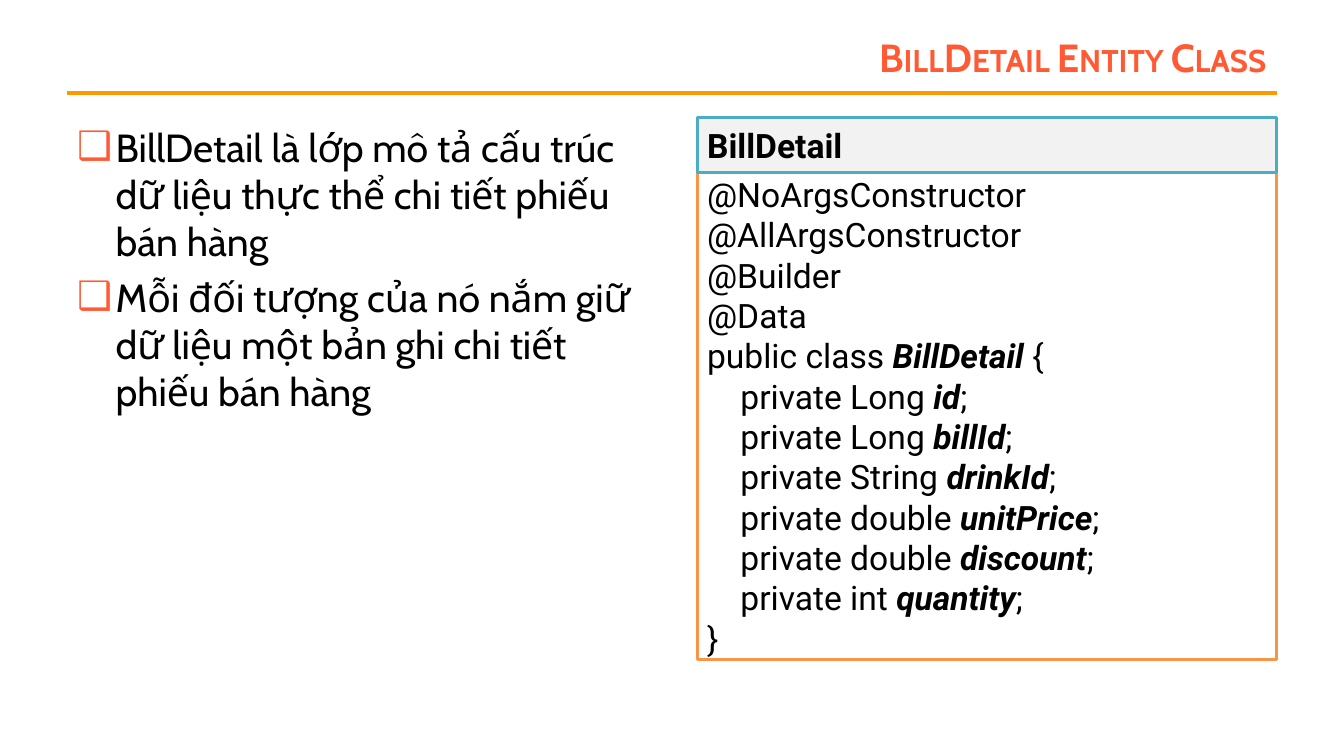
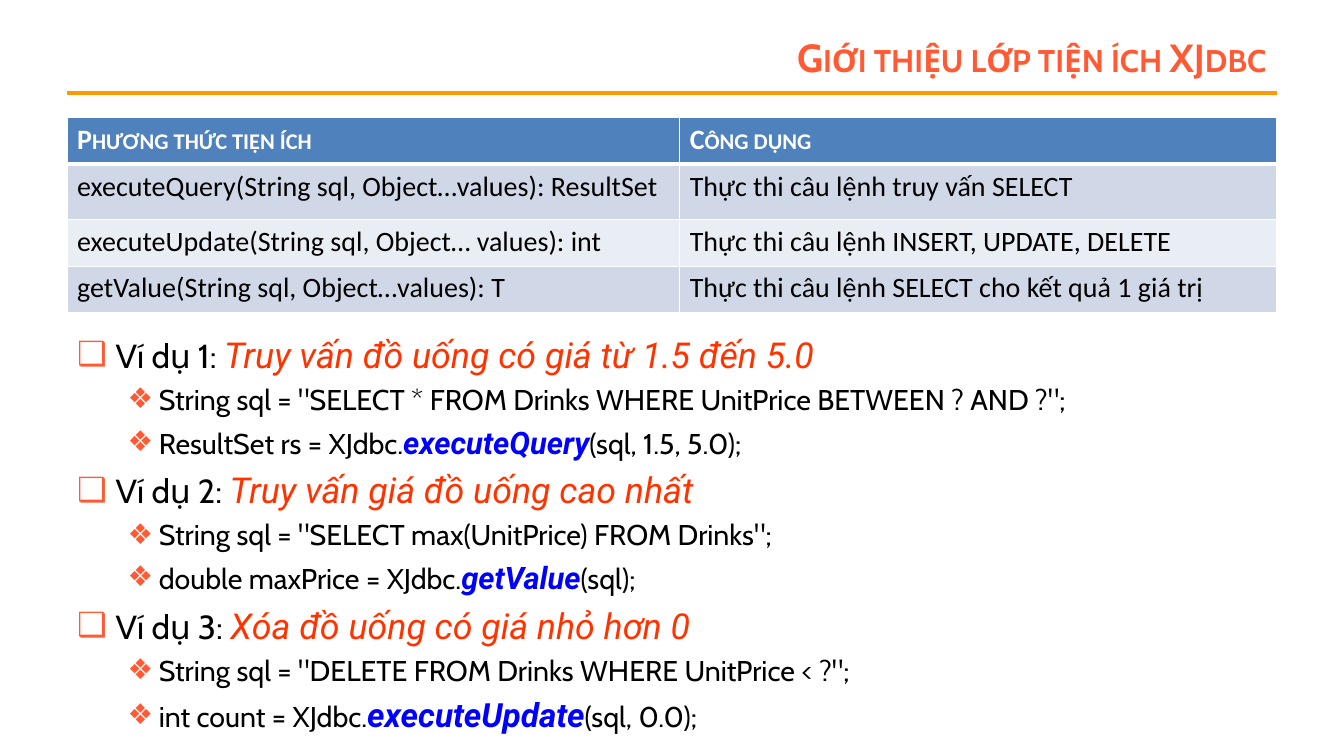
from pptx import Presentation
from pptx.dml.color import RGBColor
from pptx.enum.shapes import MSO_CONNECTOR, MSO_SHAPE
from pptx.enum.text import MSO_ANCHOR, MSO_AUTO_SIZE, PP_ALIGN
from pptx.oxml.ns import qn
from pptx.util import Cm, Pt
from lxml.etree import SubElement

COLORS = {
    "accent": "FF5A33", "rule": "FF9900", "text": "000000", "white": "FFFFFF",
    "task": "FF3300", "method": "0000FF",
    "code_line": "F79646", "name_fill": "F2F2F2", "name_line": "4BACC6",
    "header": "4F81BD", "odd": "D0D8E8", "even": "E9EDF4",
}
# Each style: font, size, colour, bold, italic
STYLES = {
    "title": ("Cabin", 28, "accent", True, False),
    "body": ("Cabin", 28, "text", False, False),
    "code": ("Roboto", 24, "text", False, False),
    "class": ("Roboto", 24, "text", True, False),
    "member": ("Roboto", 24, "text", True, True),
    "header": ("Calibri", 20, "white", True, False),
    "cell": ("Calibri", 20, "text", False, False),
    "example": ("Cabin", 23.8, "text", False, False),
    "task": ("Roboto", 25.5, "task", False, True),
    "step": ("Cabin", 20.4, "text", False, False),
    "method": ("Roboto", 22.1, "method", True, True),
    "last_method": ("Roboto", 23.8, "method", True, True),
}
SMALL_CAPS = {"title", "header"}
# Each level: bullet, left margin, hanging indent
BULLETS = [("❑", Cm(0.97), Cm(0.97)), ("❖", Cm(2.06), Cm(0.79))]
SPACE_BEFORE = 0.22

LEFT, WIDTH, CONTENT_TOP = Cm(1.69), Cm(30.48), Cm(2.97)
RIGHT = LEFT + WIDTH
RULE_TOP = Cm(2.34)

ENTITY_TITLE = "BillDetail Entity Class"
ENTITY_POINTS = [
    (0, [("BillDetail là lớp mô tả cấu trúc dữ liệu thực thể chi tiết phiếu bán hàng", "body")]),
    (0, [("Mỗi đối tượng của nó nắm giữ dữ liệu một bản ghi chi tiết phiếu bán hàng", "body")]),
]
CLASS_NAME = "BillDetail"
ANNOTATIONS = ["@NoArgsConstructor", "@AllArgsConstructor", "@Builder", "@Data"]
FIELDS = [("Long", "id"), ("Long", "billId"), ("String", "drinkId"),
          ("double", "unitPrice"), ("double", "discount"), ("int", "quantity")]

UTILITY_TITLE = "Giới thiệu lớp tiện ích XJdbc"
METHODS = [
    ("Phương thức tiện ích", "Công dụng"),
    ("executeQuery(String sql, Object…values): ResultSet", "Thực thi câu lệnh truy vấn SELECT"),
    ("executeUpdate(String sql, Object… values): int", "Thực thi câu lệnh INSERT, UPDATE, DELETE"),
    ("getValue(String sql, Object…values): T", "Thực thi câu lệnh SELECT cho kết quả 1 giá trị"),
]
COLUMN_WIDTHS = [Cm(15.44), Cm(15.04)]
ROW_HEIGHTS = [Cm(1.17), Cm(1.4), Cm(1.17), Cm(1.17)]
# Each example: task, SQL, text before the method, method, arguments, method style
EXAMPLES = [
    ("Truy vấn đồ uống có giá từ 1.5 đến 5.0",
     "SELECT * FROM Drinks WHERE UnitPrice BETWEEN ? AND ?",
     "ResultSet rs = XJdbc.", "executeQuery", "(sql, 1.5, 5.0);", "method"),
    ("Truy vấn giá đồ uống cao nhất",
     "SELECT max(UnitPrice) FROM Drinks",
     "double maxPrice = XJdbc.", "getValue", "(sql);", "method"),
    ("Xóa đồ uống có giá nhỏ hơn 0",
     "DELETE FROM Drinks WHERE UnitPrice < ?",
     "int count = XJdbc.", "executeUpdate", "(sql, 0.0);", "last_method"),
]


def color(name):
    return RGBColor.from_string(COLORS[name])


def add_runs(para, runs):
    for text, style in runs:
        span = para.add_run()
        span.text = text
        font = span.font
        font.name, size, tint, font.bold, font.italic = STYLES[style]
        font.size = Pt(size)
        font.color.rgb = color(tint)
        if style in SMALL_CAPS:
            span._r.get_or_add_rPr().set("cap", "small")


def paragraphs(frame, count):
    return [frame.paragraphs[0]] + [frame.add_paragraph() for _ in range(count - 1)]


def place(shape, left, top, width, height):
    shape.left, shape.top, shape.width, shape.height = left, top, width, height


def add_bullet(para, level):
    symbol, margin, hanging = BULLETS[level]
    para.level = level
    properties = para._p.get_or_add_pPr()
    properties.set("marL", str(margin))
    properties.set("indent", str(-hanging))
    tint = SubElement(properties, qn("a:buClr"))
    SubElement(tint, qn("a:srgbClr")).set("val", COLORS["accent"])
    SubElement(properties, qn("a:buChar")).set("char", symbol)


def add_page(deck, title, points, body_area):
    """Add a slide with a right-aligned title and a bulleted body."""
    page = deck.slides.add_slide(deck.slide_layouts[1])
    heading, body = page.shapes.title, page.placeholders[1]
    place(heading, Cm(6.21), Cm(0.76), RIGHT - Cm(6.21), Cm(1.35))
    place(body, *body_area)
    for box, anchor in ((heading, MSO_ANCHOR.MIDDLE), (body, MSO_ANCHOR.TOP)):
        box.text_frame.auto_size = MSO_AUTO_SIZE.NONE
        box.text_frame.vertical_anchor = anchor
    para = heading.text_frame.paragraphs[0]
    para.alignment = PP_ALIGN.RIGHT
    add_runs(para, [(title, "title")])

    lines = paragraphs(body.text_frame, len(points))
    for index, (para, (level, runs)) in enumerate(zip(lines, points)):
        add_bullet(para, level)
        largest = max(STYLES[style][1] for _, style in runs)
        para.space_before = Pt(round(largest * SPACE_BEFORE, 1) if index else 0)
        add_runs(para, runs)
    return page


def add_master_rule(deck, page):
    """Draw the title rule and move it to the master, so every slide has it."""
    rule = page.shapes.add_connector(MSO_CONNECTOR.STRAIGHT, LEFT, RULE_TOP, RIGHT, RULE_TOP)
    rule.line.color.rgb = color("rule")
    rule.line.width = Pt(3)
    SubElement(rule.element.spPr, qn("a:effectLst"))
    deck.slide_master.shapes.element.append(rule.element)


def add_panel(page, area, fill, line, lines):
    panel = page.shapes.add_shape(MSO_SHAPE.RECTANGLE, *area)
    panel.shadow.inherit = False
    panel.fill.solid()
    panel.fill.fore_color.rgb = color(fill)
    panel.line.color.rgb = color(line)
    panel.line.width = Pt(2)
    frame = panel.text_frame
    frame.word_wrap = True
    frame.vertical_anchor = MSO_ANCHOR.MIDDLE
    for para, runs in zip(paragraphs(frame, len(lines)), lines):
        para.alignment = PP_ALIGN.LEFT
        add_runs(para, runs)


def add_borders(cell, bottom_width):
    properties = cell._tc.get_or_add_tcPr()
    for side, width in (("L", 1), ("R", 1), ("T", 1), ("B", bottom_width)):
        border = SubElement(properties, qn("a:ln" + side), w=str(Pt(width)))
        fill = SubElement(border, qn("a:solidFill"))
        SubElement(fill, qn("a:srgbClr")).set("val", COLORS["white"])


def add_method_table(page):
    table = page.shapes.add_table(len(METHODS), len(COLUMN_WIDTHS), LEFT, CONTENT_TOP,
                                  WIDTH, sum(ROW_HEIGHTS)).table
    for column, width in zip(table.columns, COLUMN_WIDTHS):
        column.width = width
    for index, (row, texts) in enumerate(zip(table.rows, METHODS)):
        row.height = ROW_HEIGHTS[index]
        band = "header" if index == 0 else "odd" if index % 2 else "even"
        for cell, text in zip(row.cells, texts):
            add_borders(cell, 1 if index else 3)
            cell.fill.solid()
            cell.fill.fore_color.rgb = color(band)
            add_runs(cell.text_frame.paragraphs[0], [(text, "cell" if index else "header")])


def class_source():
    lines = [[(annotation, "code")] for annotation in ANNOTATIONS]
    lines.append([("public class ", "code"), (CLASS_NAME, "member"), (" {", "code")])
    for kind, name in FIELDS:
        lines.append([(f"    private {kind} ", "code"), (name, "member"), (";", "code")])
    return lines + [[("}", "code")]]


def example_points():
    points = []
    for number, (task, sql, before, method, arguments, style) in enumerate(EXAMPLES, 1):
        points += [
            (0, [(f"Ví dụ {number}: ", "example"), (task, "task")]),
            (1, [(f'String sql = "{sql}";', "step")]),
            (1, [(before, "step"), (method, style), (arguments, "step")]),
        ]
    return points


def main():
    deck = Presentation()
    deck.slide_width, deck.slide_height = Cm(33.87), Cm(19.05)

    entity = add_page(deck, ENTITY_TITLE, ENTITY_POINTS,
                      (LEFT, CONTENT_TOP, Cm(15.04), Cm(14.6)))
    add_master_rule(deck, entity)
    panel_width, name_height = Cm(14.6), Cm(1.37)
    panel_left = RIGHT - panel_width
    add_panel(entity, (panel_left, CONTENT_TOP + name_height, panel_width, Cm(12.28)),
              "white", "code_line", class_source())
    add_panel(entity, (panel_left, CONTENT_TOP, panel_width, name_height),
              "name_fill", "name_line", [[(CLASS_NAME, "class")]])

    utility = add_page(deck, UTILITY_TITLE, example_points(),
                       (LEFT, Cm(8.26), WIDTH, Cm(9.31)))
    add_method_table(utility)
    deck.save("out.pptx")


if __name__ == "__main__":
    main()
